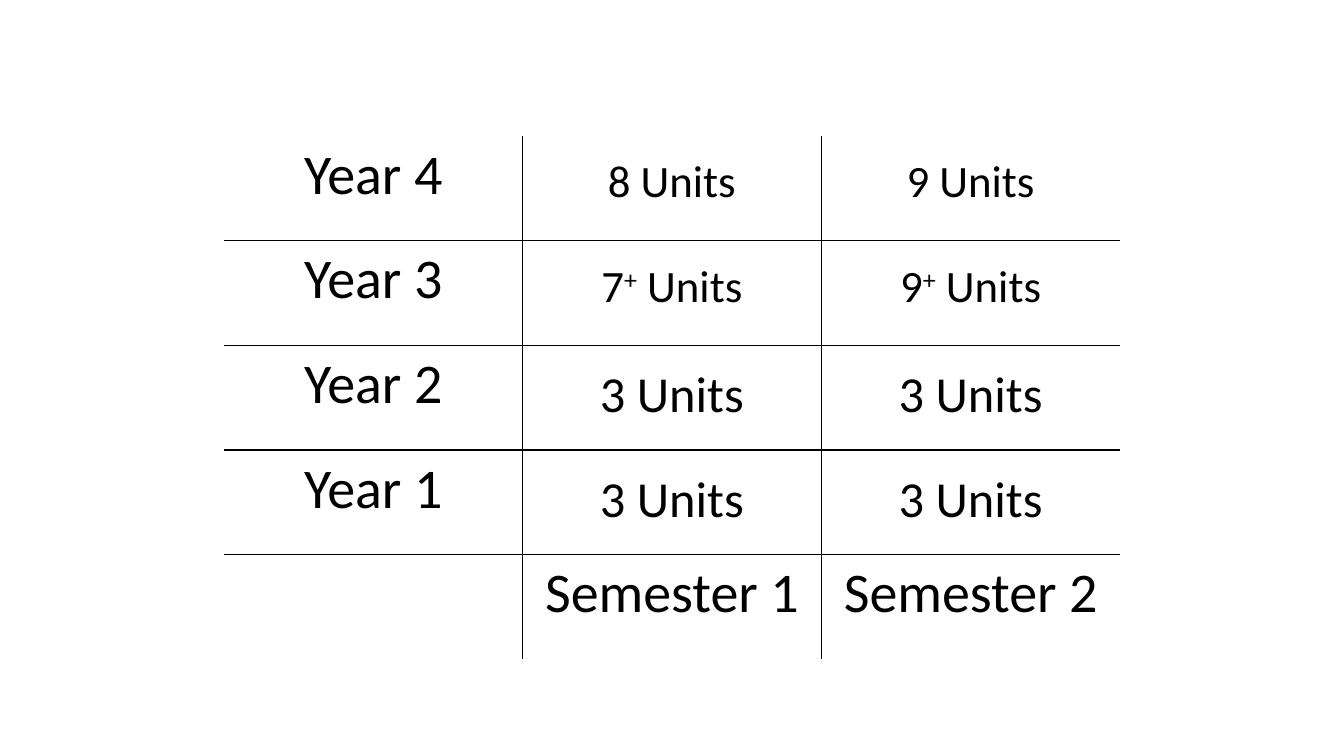
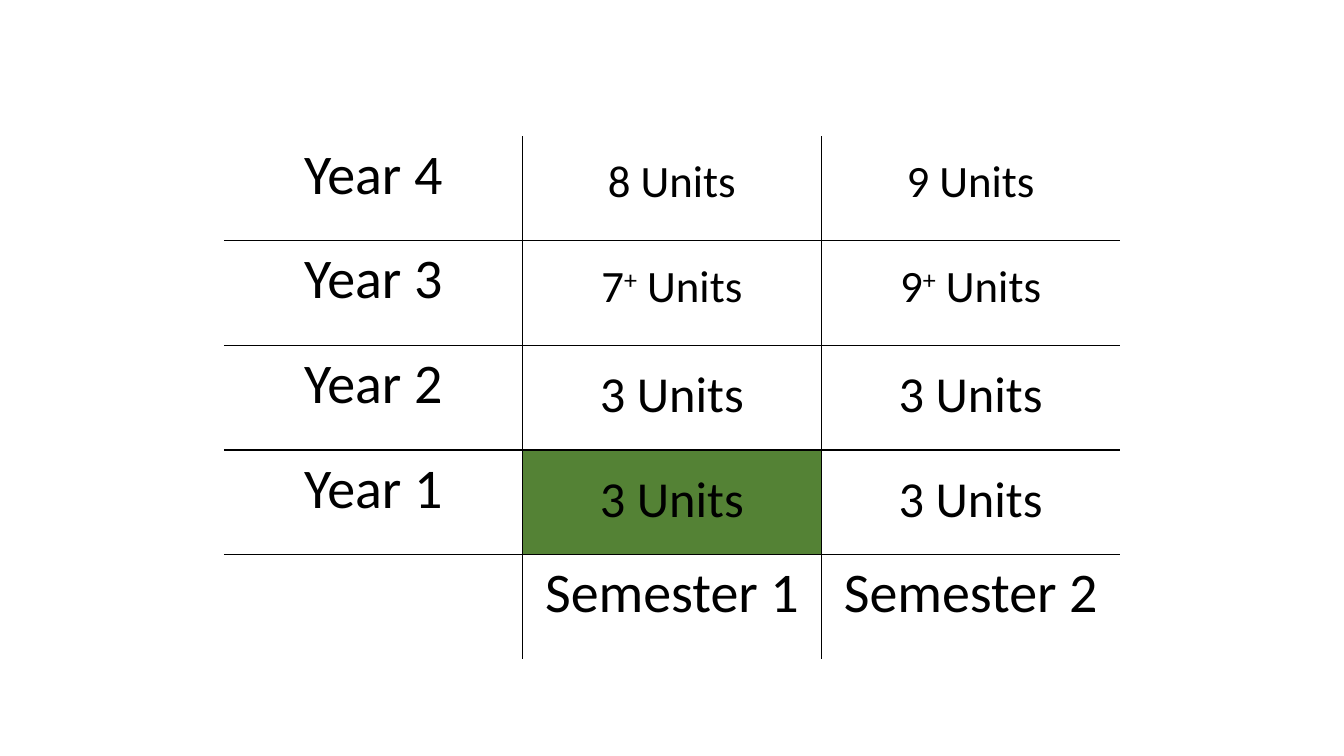
from lxml import etree
from pptx import Presentation
from pptx.dml.color import RGBColor
from pptx.enum import text
from pptx.oxml import ns
from pptx.util import Inches, Pt

COLORS = {"ink": "000000", "current": "548235"}
FONT = "Calibri"
LABEL_SIZE = 40
NO_STYLE_NO_GRID = "{2D5ABB26-0587-4C30-8999-92F81FD0307C}"

plan = [
    ("Year 4", "8 Units", "9 Units", 32),
    ("Year 3", "7+ Units", "9+ Units", 32),
    ("Year 2", "3 Units", "3 Units", 36),
    ("Year 1", "3 Units", "3 Units", 36),
    ("", "Semester 1", "Semester 2", LABEL_SIZE),
]
last_row, last_col = len(plan) - 1, 2
highlights = [None, (3, 1)]


def add_border(cell, side):
    border = etree.SubElement(cell._tc.get_or_add_tcPr(), ns.qn(f"a:ln{side}"), w=str(Pt(1)))
    fill = etree.SubElement(border, ns.qn("a:solidFill"))
    etree.SubElement(fill, ns.qn("a:srgbClr"), val=COLORS["ink"])


def write_cell(cell, wording, size):
    paragraph = cell.text_frame.paragraphs[0]
    paragraph.alignment = text.PP_ALIGN.CENTER
    for part in wording.replace("+", "|+|").split("|"):
        run = paragraph.add_run()
        run.text = part
        run.font.name = FONT
        run.font.size = Pt(size)
        run.font.color.rgb = RGBColor.from_string(COLORS["ink"])
        if part == "+":
            run._r.get_or_add_rPr().set("baseline", "30000")


prs = Presentation()
prs.slide_width, prs.slide_height = Inches(13.33), Inches(7.5)

for highlight in highlights:
    slide = prs.slides.add_slide(prs.slide_layouts[6])
    frame = slide.shapes.add_table(
        len(plan), last_col + 1, Inches(2.22), Inches(1.35), Inches(8.89), Inches(5.19))
    units = frame.table
    units.first_row = units.horz_banding = False
    units._tbl.tblPr.find(ns.qn("a:tableStyleId")).text = NO_STYLE_NO_GRID

    for row, (*wordings, units_size) in enumerate(plan):
        for col, wording in enumerate(wordings):
            cell = units.cell(row, col)
            inner_sides = {"L": col > 0, "R": col < last_col, "T": row > 0, "B": row < last_row}
            for side, is_inner in inner_sides.items():
                if is_inner:
                    add_border(cell, side)
            if (row, col) == highlight:
                cell.fill.solid()
                cell.fill.fore_color.rgb = RGBColor.from_string(COLORS["current"])
            else:
                cell.fill.background()
            if col > 0 and row < last_row:
                cell.margin_top = Inches(0.19)
            if wording:
                write_cell(cell, wording, units_size if col else LABEL_SIZE)

prs.save("out.pptx")
